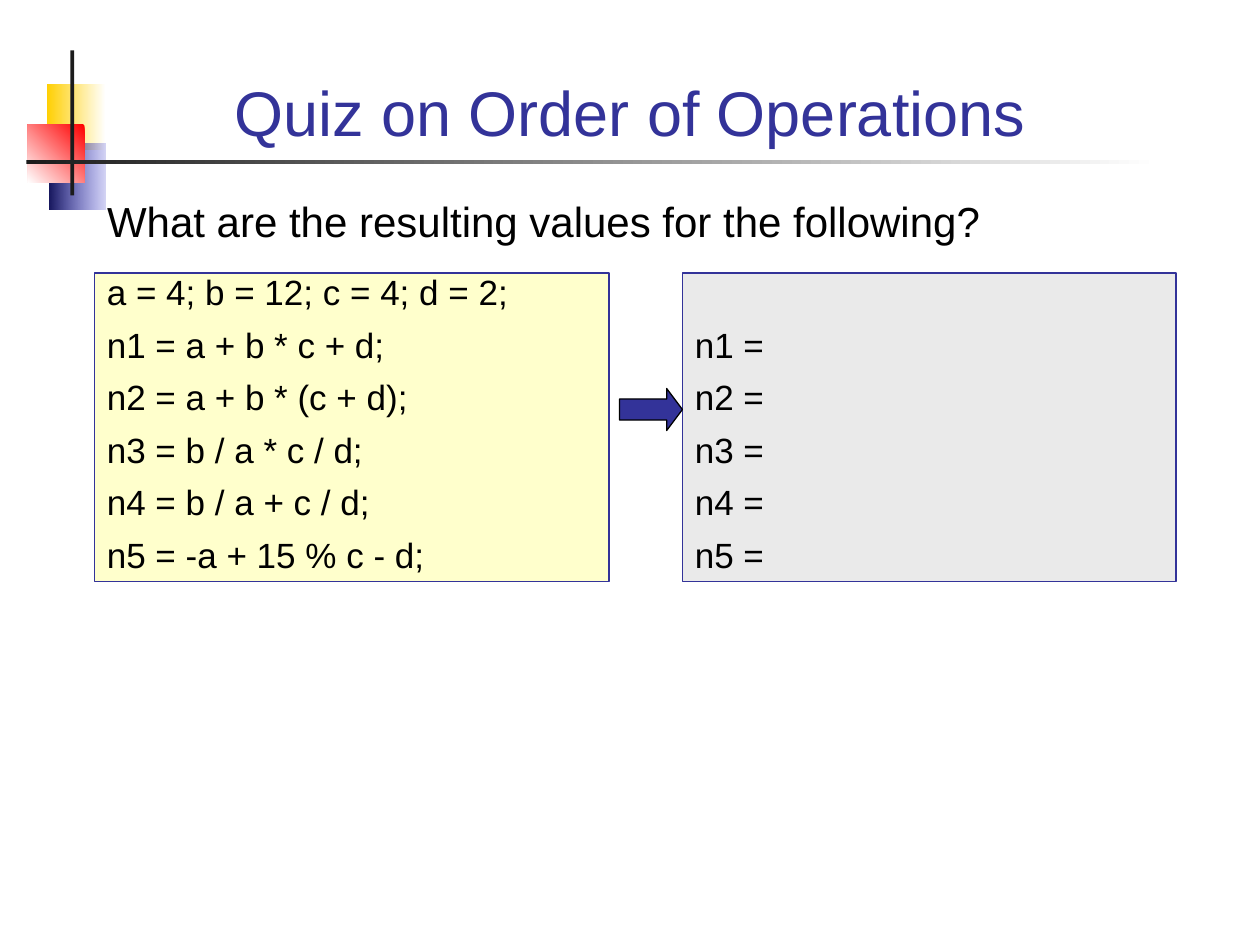
"""Build a quiz slide on the order of arithmetic operations."""
from lxml.etree import SubElement
from pptx import Presentation
from pptx.dml.color import RGBColor
from pptx.enum.shapes import MSO_SHAPE as Preset
from pptx.enum.text import MSO_ANCHOR as Anchor, MSO_AUTO_SIZE as AutoSize, PP_ALIGN as Align
from pptx.oxml.ns import qn
from pptx.util import Inches, Pt

WHITE = RGBColor(0xFF, 0xFF, 0xFF)
BLACK = RGBColor(0x00, 0x00, 0x00)
CHARCOAL = RGBColor(0x1C, 0x1C, 0x1C)
GOLD = RGBColor(0xFF, 0xCF, 0x01)
RED = RGBColor(0xFF, 0x00, 0x00)
NAVY = RGBColor(0x17, 0x17, 0x5E)
BLUE = RGBColor(0x33, 0x33, 0xCC)
INDIGO = RGBColor(0x33, 0x33, 0x99)
CREAM = RGBColor(0xFF, 0xFF, 0xCC)
GREY = RGBColor(0xEA, 0xEA, 0xEA)

GRID = Inches(1) / 12
TITLE = "Quiz on Order of Operations"
QUESTION = "What are the resulting values for the following?"
STATEMENTS = [
    "a = 4; b = 12; c = 4; d = 2;",
    "n1 = a + b * c + d;",
    "n2 = a + b * (c + d);",
    "n3 = b / a * c / d;",
    "n4 = b / a + c / d;",
    "n5 = -a + 15 % c - d;",
]
ANSWERS = [f"n{number} =" for number in range(1, 6)]

# place in grid units, start colour, end colour, angle, end opacity in percent
DECORATIONS = [
    ((4.44, 8.04, 5.64, 6.24), GOLD, WHITE, 0, 100),
    ((4.68, 13.68, 5.4, 6.24), NAVY, BLUE, 0, 20),
    ((2.64, 11.88, 5.4, 5.52), RED, WHITE, 225, 100),
    ((6.72, 4.8, 0.36, 13.8), CHARCOAL, CHARCOAL, 0, 100),
    ((2.52, 15.24, 107.88, 0.36), CHARCOAL, WHITE, 0, 100),
]
PANELS = [((9, 26, 49, 29.4), CREAM, STATEMENTS), ((65, 26, 47, 29.4), GREY, ANSWERS)]
ARROW_PLACE = (59, 37, 6, 4)
HEADINGS = [
    (TITLE, (8, 3.4, 104, 11.4), Anchor.BOTTOM, Align.CENTER, 36, INDIGO),
    (QUESTION, (9, 18, 102, 8), Anchor.TOP, Align.LEFT, 24, BLACK),
]


def apply(target, values):
    for name, value in values.items():
        setattr(target, name, value)


def position(place):
    return [round(units * GRID) for units in place]


def add_shape(slide, preset, place):
    shape = slide.shapes.add_shape(preset, *position(place))
    shape.shadow.inherit = False
    return shape


def add_decoration(slide, place, start, end, angle, opacity):
    shape = add_shape(slide, Preset.RECTANGLE, place)
    shape.line.fill.background()
    if start == end:
        shape.fill.solid()
        shape.fill.fore_color.rgb = start
        return
    shape.fill.gradient()
    shape.fill.gradient_angle = angle
    for stop, color, offset in zip(shape.fill.gradient_stops, (start, end), (0, 1)):
        stop.color.rgb = color
        stop.position = offset
    if opacity < 100:
        color_element = list(shape.element.iter(qn("a:srgbClr")))[-1]
        SubElement(color_element, qn("a:alpha"), val=str(opacity * 1000))


def paint(shape, fill, line):
    shape.fill.solid()
    shape.fill.fore_color.rgb = fill
    shape.line.color.rgb = line
    shape.line.width = Pt(0.75)


def write(shape, lines, anchor, alignment, size, color):
    frame = shape.text_frame
    frame.text = "\n".join(lines)
    apply(frame, {
        "word_wrap": True, "auto_size": AutoSize.NONE, "vertical_anchor": anchor,
        "margin_left": Inches(0.1), "margin_right": Inches(0.1),
        "margin_top": Inches(0.05), "margin_bottom": Inches(0.05),
    })
    for index, paragraph in enumerate(frame.paragraphs):
        properties = paragraph._p.get_or_add_pPr()
        properties.set("marL", "0")
        properties.set("indent", "0")
        SubElement(properties, qn("a:buNone"))
        apply(paragraph, {"alignment": alignment, "space_before": Pt(6 if index else 0)})
        apply(paragraph.font, {"name": "Arial", "size": Pt(size)})
        paragraph.font.color.rgb = color


def main():
    presentation = Presentation()
    apply(presentation, {"slide_width": Inches(10), "slide_height": Inches(7.5)})
    slide = presentation.slides.add_slide(presentation.slide_layouts[1])
    placeholders = list(slide.placeholders)

    for decoration in DECORATIONS:
        add_decoration(slide, *decoration)

    for placeholder, (text, place, *style) in zip(placeholders, HEADINGS):
        placeholder.element.getparent().append(placeholder.element)
        apply(placeholder, dict(zip(("left", "top", "width", "height"), position(place))))
        write(placeholder, [text], *style)

    for place, fill, lines in PANELS:
        panel = add_shape(slide, Preset.RECTANGLE, place)
        paint(panel, fill, INDIGO)
        write(panel, lines, Anchor.BOTTOM, Align.LEFT, 20, BLACK)

    arrow = add_shape(slide, Preset.RIGHT_ARROW, ARROW_PLACE)
    arrow.adjustments[1] = 0.375
    paint(arrow, INDIGO, BLACK)

    presentation.save("out.pptx")


if __name__ == "__main__":
    main()
